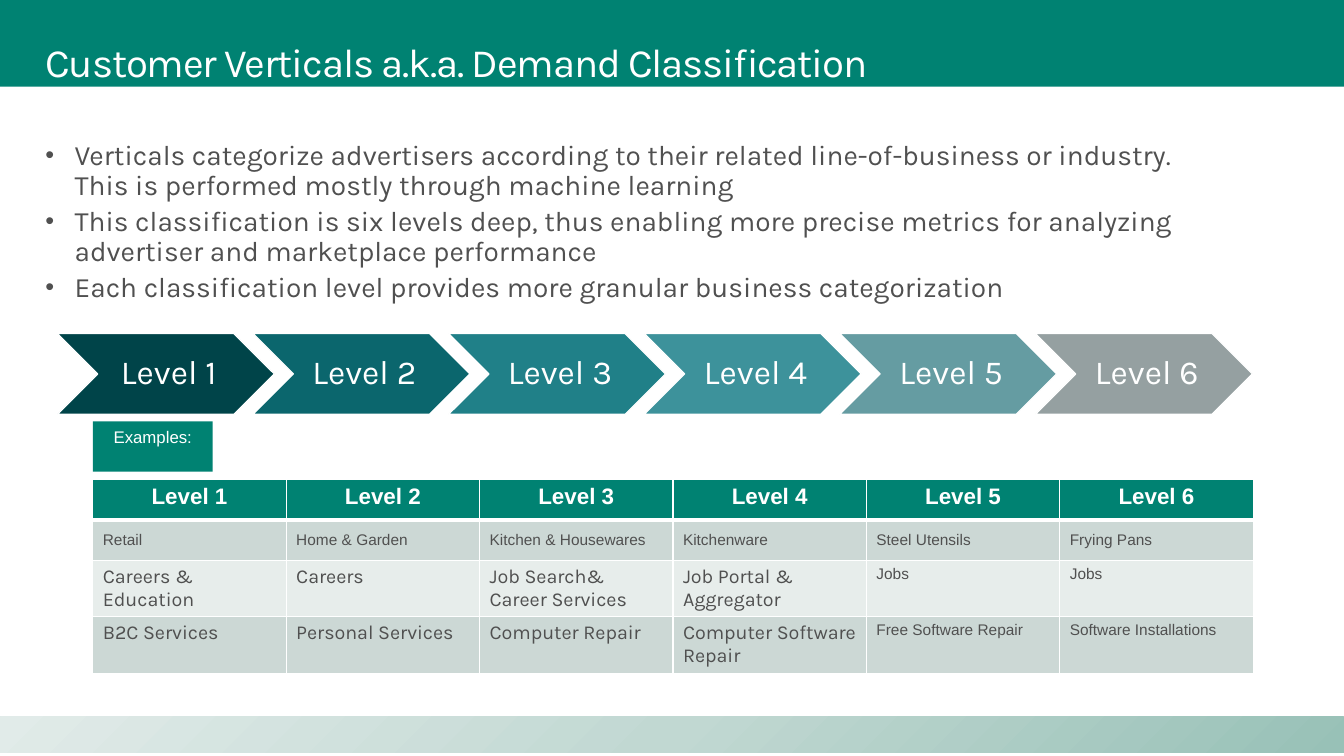
from copy import deepcopy

from lxml.etree import SubElement
from pptx import Presentation
from pptx.dml.color import RGBColor
from pptx.enum.shapes import MSO_SHAPE as Shape
from pptx.enum.text import MSO_ANCHOR as Anchor, MSO_AUTO_SIZE as AutoSize, PP_ALIGN as Align
from pptx.oxml.ns import qn
from pptx.util import Inches, Pt

COLORS = {
    "white": "FFFFFF",
    "green": "008272",
    "text": "505050",
    "row_dark": "CCD8D5",
    "row_light": "E7EDEB",
}
FOOTER_STOPS = [(0, "98C1B7"), (0.5, "C1D8D2"), (1, "E1EBE9")]
LEVEL_COLORS = ["004449", "0B666D", "208088", "3D929B", "659CA2", "95A0A1"]
LEVELS = [f"Level {number}" for number in range(1, 7)]

TITLE = "Customer Verticals a.k.a. Demand Classification"
BULLETS = [
    "Verticals categorize advertisers according to their related line-of-business or industry. "
    "This is performed mostly through machine learning",
    "This classification is six levels deep, thus enabling more precise metrics for analyzing "
    "advertiser and marketplace performance",
    "Each classification level provides more granular business categorization",
]
EXAMPLES = [
    ["Retail", "Home & Garden", "Kitchen & Housewares", "Kitchenware",
     "Steel Utensils", "Frying Pans"],
    ["Careers & Education", "Careers", "Job Search& Career Services",
     "Job Portal & Aggregator", "Jobs", "Jobs"],
    ["B2C Services", "Personal Services", "Computer Repair",
     "Computer Software Repair", "Free Software Repair", "Software Installations"],
]


def rgb(color):
    return RGBColor.from_string(COLORS.get(color, color))


class SlideBuilder:
    heading_font = "Karla"
    plain_font = "Arial"

    def __init__(self, presentation):
        self.slide = presentation.slides.add_slide(presentation.slide_layouts[5])
        self.shapes = self.slide.shapes

    def add_text(self, paragraph, text, size, color, font, align=Align.LEFT, bold=False):
        paragraph.alignment = align
        run = paragraph.add_run()
        run.text = text
        run.font.name = font
        run.font.size = Pt(size)
        run.font.bold = bold
        run.font.color.rgb = rgb(color)
        return run

    def frame(self, shape, margins, anchor=Anchor.TOP, wrap=True):
        frame = shape.text_frame
        frame.auto_size = AutoSize.NONE
        frame.word_wrap = wrap
        frame.vertical_anchor = anchor
        (frame.margin_left, frame.margin_top,
         frame.margin_right, frame.margin_bottom) = [Inches(margin) for margin in margins]
        return frame

    def block(self, kind, box, color):
        shape = self.shapes.add_shape(kind, *[Inches(value) for value in box])
        shape.shadow.inherit = False
        shape.fill.solid()
        shape.fill.fore_color.rgb = rgb(color)
        shape.line.fill.background()
        return shape

    def label(self, shape, text, size, font, margins, anchor, wrap=True):
        paragraph = self.frame(shape, margins, anchor, wrap).paragraphs[0]
        paragraph.line_spacing = 0.9
        self.add_text(paragraph, text, size, "white", font, Align.CENTER)

    def footer_band(self, box):
        band = self.block(Shape.RECTANGLE, box, "white")
        band.fill.gradient()
        band.fill.gradient_angle = 135
        stop_list = band._element.spPr.find(qn("a:gradFill")).find(qn("a:gsLst"))
        stop_list.insert(1, deepcopy(stop_list[0]))
        for stop, (position, color) in zip(band.fill.gradient_stops, FOOTER_STOPS):
            stop.position = position
            stop.color.rgb = rgb(color)

    def title(self, text, box):
        title = self.shapes.title
        title.left, title.top, title.width, title.height = [Inches(value) for value in box]
        paragraph = self.frame(title, (0.16, 0.1, 0.16, 0.1)).paragraphs[0]
        paragraph.line_spacing = 0.9
        run = self.add_text(paragraph, text, 28.7, "white", self.heading_font)
        run._r.get_or_add_rPr().set("spc", "-80")
        # Bring the title in front of the header band
        self.shapes._spTree.append(title._element)

    def bullets(self, items, box):
        shape = self.shapes.add_textbox(*[Inches(value) for value in box])
        frame = self.frame(shape, (0.16, 0.1, 0.16, 0.1))
        for index, text in enumerate(items):
            paragraph = frame.add_paragraph() if index else frame.paragraphs[0]
            properties = paragraph._p.get_or_add_pPr()
            properties.set("marL", str(Inches(0.29)))
            properties.set("indent", str(-Inches(0.29)))
            SubElement(properties, qn("a:buSzPct"), val="90000")
            SubElement(properties, qn("a:buFont"), typeface=self.plain_font)
            SubElement(properties, qn("a:buChar"), char="•")
            paragraph.line_spacing = 0.9
            if index:
                paragraph.space_before = Pt(4)
            self.add_text(paragraph, text, 20, "text", self.heading_font)

    def cell_style(self, cell, color, bottom_width):
        properties = cell._tc.get_or_add_tcPr()
        for side, width in zip("LRTB", (1, 1, 1, bottom_width)):
            line = SubElement(properties, qn(f"a:ln{side}"), w=str(Pt(width)))
            fill = SubElement(line, qn("a:solidFill"))
            SubElement(fill, qn("a:srgbClr"), val=COLORS["white"])
        cell.fill.solid()
        cell.fill.fore_color.rgb = rgb(color)

    def table(self, header, rows, box, row_heights):
        table = self.shapes.add_table(len(rows) + 1, len(header),
                                      *[Inches(value) for value in box]).table
        for row, height in zip(table.rows, row_heights):
            row.height = Inches(height)
        for column, text in enumerate(header):
            cell = table.cell(0, column)
            self.cell_style(cell, "green", 3)
            self.add_text(cell.text_frame.paragraphs[0], text, 16, "white",
                          self.plain_font, Align.CENTER, True)
        for row, texts in enumerate(rows, 1):
            for column, text in enumerate(texts):
                cell = table.cell(row, column)
                self.cell_style(cell, "row_dark" if row % 2 else "row_light", 1)
                if row == 1:
                    cell.vertical_anchor = Anchor.MIDDLE
                # The first row and the two deepest levels use the small plain font
                small = row == 1 or column >= 4
                size, font = (11, self.plain_font) if small else (14.1, self.heading_font)
                self.add_text(cell.text_frame.paragraphs[0], text, size, "text", font)


def main():
    presentation = Presentation()
    presentation.slide_width = Inches(13.33)
    presentation.slide_height = Inches(7.5)
    builder = SlideBuilder(presentation)

    # Bands, title and bullets
    builder.footer_band((0, 7.11, 13.33, 0.36))
    builder.block(Shape.RECTANGLE, (0, 0, 13.33, 0.86), "green")
    builder.title(TITLE, (0.29, 0.32, 11.87, 1.45))
    builder.bullets(BULLETS, (0.29, 1.3, 11.87, 1.85))

    # Chain of level chevrons
    for index, (level, color) in enumerate(zip(LEVELS, LEVEL_COLORS)):
        chevron = builder.block(Shape.CHEVRON, (0.57 + 1.94 * index, 3.31, 2.15, 0.8), color)
        chevron.line.color.rgb = rgb("white")
        chevron.line.width = Pt(0.85)
        builder.label(chevron, level, 24, builder.heading_font,
                      (0.1, 0.04, 0.04, 0.04), Anchor.MIDDLE)

    # Examples
    builder.table(LEVELS, EXAMPLES, (0.92, 4.76, 11.51, 1.92), (0.4, 0.4, 0.56, 0.56))
    examples = builder.block(Shape.RECTANGLE, (0.92, 4.18, 1.19, 0.5), "green")
    builder.label(examples, "Examples:", 12, builder.plain_font,
                  (0.2, 0.08, 0.2, 0.08), Anchor.TOP, wrap=False)

    presentation.save("out.pptx")


if __name__ == "__main__":
    main()
